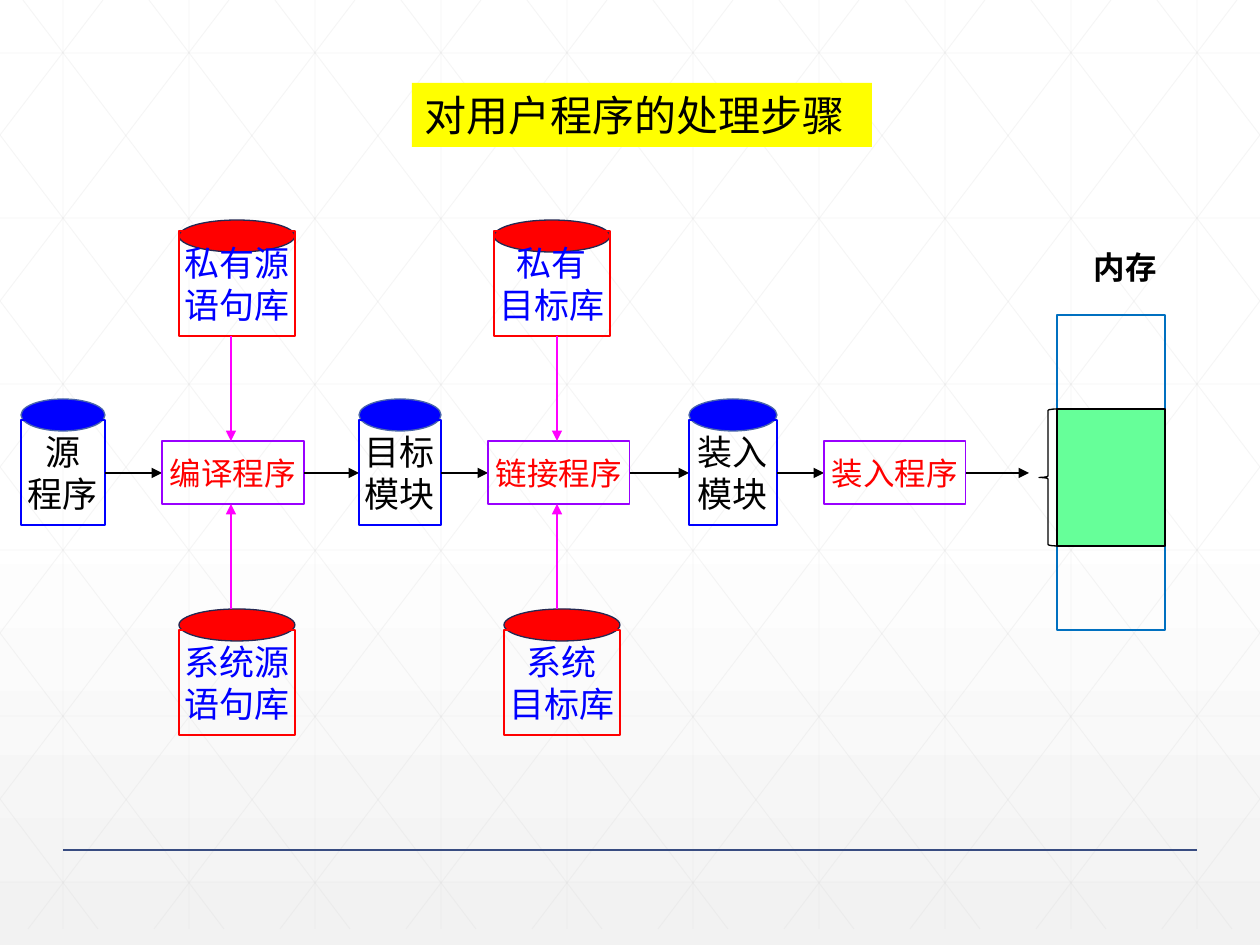
from lxml import etree
from pptx import Presentation
from pptx.dml.color import RGBColor
from pptx.enum import shapes, text
from pptx.oxml.ns import qn
from pptx.util import Pt

PX = 914400 // 126
WIDE, HIGH, FOOT = 1260, 945, 929
INK = {
    "black": "000000", "white": "FFFFFF", "fade": "F2F2F2", "grid": "D9D9D9",
    "rule": "384C81", "yellow": "FFFF00", "blue": "0000FF", "rim": "4A66AC",
    "red": "FF0000", "navy": "242852", "purple": "9900FF", "pink": "FF00FF",
    "frame": "0070C0", "green": "66FF99",
}
RGB = {name: RGBColor.from_string(code) for name, code in INK.items()}
FORM = shapes.MSO_SHAPE

deck = Presentation()
deck.slide_width, deck.slide_height = WIDE * PX, HIGH * PX
slide = deck.slides.add_slide(deck.slide_layouts[5])


def put(words="", at=(0, 0, 0, 0), kind=FORM.RECTANGLE, shape=None, fill=None,
        edge=None, size=20, color="black", bold=False, align="CENTER",
        anchor="MIDDLE"):
    """Format the given shape, or a new one of this kind, and fill in its words."""
    spot = [n * PX for n in at]
    if shape is None:
        shape = slide.shapes.add_shape(kind, *spot)
        shape.shadow.inherit = False
    shape.left, shape.top, shape.width, shape.height = spot
    for paint, name in ((shape.fill, fill), (shape.line.fill, edge)):
        if name:
            paint.solid()
            paint.fore_color.rgb = RGB[name]
        else:
            paint.background()
    if edge:
        shape.line.width = Pt(0.75)
    if words:
        frame = shape.text_frame
        frame.text = words
        frame.word_wrap = False
        frame.auto_size = text.MSO_AUTO_SIZE.NONE
        frame.vertical_anchor = text.MSO_ANCHOR[anchor]
        for para in frame.paragraphs:
            para.alignment = text.PP_ALIGN[align]
            para.font.name, para.font.size = "Arial", Pt(size)
            para.font.bold = bold
            para.font.color.rgb = RGB[color]
    return shape


def link(x1, y1, x2, y2, color="black", width=0.75, head=True, alpha=None):
    """Draw a straight line, with an arrowhead at its end if head is set."""
    wire = slide.shapes.add_connector(
        shapes.MSO_CONNECTOR.STRAIGHT, *(n * PX for n in (x1, y1, x2, y2)))
    wire.line.color.rgb = RGB[color]
    wire.line.width = Pt(width)
    props = wire.element.spPr
    stroke = props.find(qn("a:ln"))
    if alpha:
        tint = stroke.find(".//" + qn("a:srgbClr"))
        etree.SubElement(tint, qn("a:alpha")).set("val", str(alpha * 1000))
    if head:
        etree.SubElement(stroke, qn("a:tailEnd")).set("type", "triangle")
    etree.SubElement(props, qn("a:effectLst"))


# Background: white fading to grey, under a faint triangular grid
back = slide.background.fill
back.gradient()
back.gradient_angle = 270
for stop, place, name in zip(back.gradient_stops, (0.53, 1), ("white", "fade")):
    stop.position = place
    stop.color.rgb = RGB[name]

mesh = [(x, 0, x, FOOT) for x in range(63, WIDE, 126)]
mesh += [(0, 53 + 829 * i // 5, WIDE, 53 + 829 * i // 5) for i in range(6)]
RUN = 705  # sideways travel of a slanted line from top to foot
for top in range(23 - 5 * 126, WIDE, 126):
    x1, x2 = max(top, 0), min(top + RUN, WIDE)
    y1, y2 = ((x - top) * FOOT // RUN for x in (x1, x2))
    mesh += [(x1, y1, x2, y2), (WIDE - x1, y1, WIDE - x2, y2)]
for ends in mesh:
    link(*ends, color="grid", width=0.5, head=False, alpha=25)
link(63, 850, 1197, 850, color="rule", width=1, head=False)

# Title, brought in front of the grid
title = put("对用户程序的处理步骤", (412, 83, 460, 64), shape=slide.shapes.title,
            fill="yellow", size=24, align="LEFT", anchor="TOP")
title.element.getparent().append(title.element)

# Main chain: stored modules and the programs that handle them
chain = [
    ("源\n程序", 21, 84), ("编译程序", 162, 142), ("目标\n模块", 359, 82),
    ("链接程序", 488, 142), ("装入\n模块", 689, 88), ("装入程序", 824, 142),
]
stops = [x for _, x, _ in chain[1:]] + [1029]
for i, ((words, x, w), stop) in enumerate(zip(chain, stops)):
    if i % 2:
        put(words, (x, 441, w, 63), edge="purple", size=18, color="red")
    else:
        put(at=(x, 399, w, 32), kind=FORM.OVAL, fill="blue", edge="rim")
        put(words, (x, 420, w, 105), edge="blue")
    link(x + w, 473, stop, 473)

# Libraries above and below the chain
stores = [
    ("私有源\n语句库", 179, 220, 231), ("系统源\n语句库", 179, 609, 630),
    ("私有\n目标库", 494, 220, 231), ("系统\n目标库", 504, 609, 630),
]
for words, x, lid, y in stores:
    put(at=(x, lid, 116, 32), kind=FORM.OVAL, fill="red", edge="navy")
    put(words, (x, y, 116, 105), edge="red", color="blue")
for x in (231, 557):
    link(x, 336, x, 441, color="pink")
    link(x, 609, x, 504, color="pink")

# Memory
put("内存", (1081, 242, 89, 50), shape=slide.shapes.add_textbox(0, 0, 0, 0),
    size=18, bold=True)
put(at=(1057, 315, 108, 315), edge="frame")
put(at=(1057, 409, 108, 137), fill="green", edge="black")
brace = put(at=(1039, 409, 18, 137), kind=FORM.LEFT_BRACE, edge="black")
brace.adjustments[0] = 0.08

deck.save("out.pptx")
